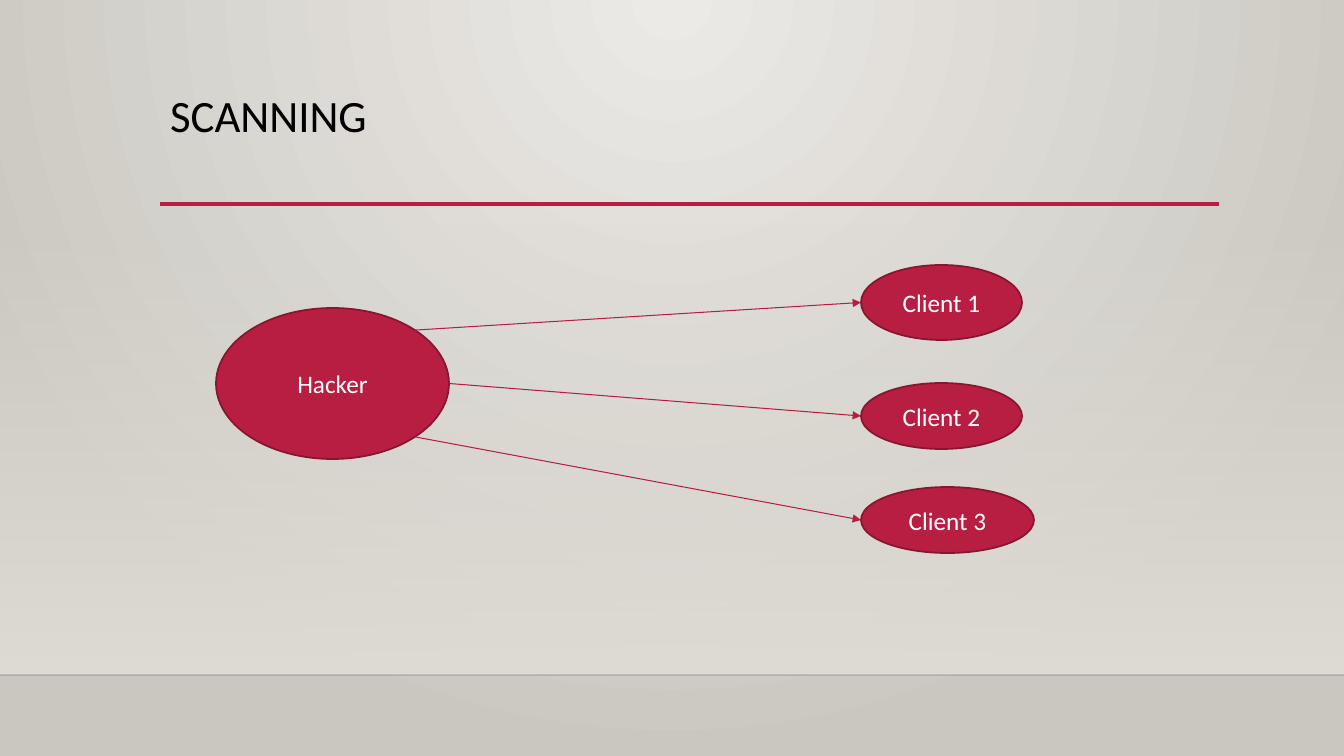
"""Build the slide that shows a hacker scanning three clients."""
import math

import pptx
import pptx.dml.color
import pptx.enum.shapes
import pptx.enum.text
import pptx.oxml
import pptx.oxml.ns
import pptx.util

TITLE = "SCANNING"
TITLE_BOX = (160, 89, 1059, 116)
HACKER = ("Hacker", (216, 308, 233, 151))
CLIENTS = [
    ("Client 1", (861, 265, 161, 75)),
    ("Client 2", (861, 383, 161, 66)),
    ("Client 3", (861, 487, 173, 66)),
]
SCAN_ANGLES = (-45, 0, 45)
WIDTH, HEIGHT, FLOOR = 1344, 756, 675
WALL_TOP = 223
RULE_Y = 204
RED, DARK_RED, BLACK, WHITE = "B71E42", "871631", "000000", "FFFFFF"
FONT = "Calibri"
NS = pptx.oxml.ns.nsdecls("a", "p")


def px(length):
    return pptx.util.Emu(round(length * 914400 / 100.8))


def rgb(color):
    return pptx.dml.color.RGBColor.from_string(color)


def write(shape, text, size=18, color=WHITE, align="CENTER", anchor="MIDDLE", spacing=1.0):
    frame = shape.text_frame
    frame.word_wrap = True
    frame.auto_size = pptx.enum.text.MSO_AUTO_SIZE.NONE
    frame.vertical_anchor = pptx.enum.text.MSO_ANCHOR[anchor]
    paragraph = frame.paragraphs[0]
    paragraph.alignment = pptx.enum.text.PP_ALIGN[align]
    paragraph.line_spacing = spacing
    run = paragraph.add_run()
    run.text = text
    run.font.name = FONT
    run.font.size = pptx.util.Pt(size)
    run.font.color.rgb = rgb(color)


def gradient(stops, direction):
    marks = "".join(
        f'<a:gs pos="{pos * 1000}"><a:srgbClr val="{color}">'
        f'<a:alpha val="{opacity * 1000}"/></a:srgbClr></a:gs>'
        for pos, color, opacity in stops
    )
    return f'<a:gradFill {NS} rotWithShape="1"><a:gsLst>{marks}</a:gsLst>{direction}</a:gradFill>'


def add_shape(kind, box):
    shape = slide.shapes.add_shape(
        pptx.enum.shapes.MSO_SHAPE[kind], *map(px, box))
    shape.shadow.inherit = False
    return shape


def add_node(label, box):
    node = add_shape("OVAL", box)
    node.fill.solid()
    node.fill.fore_color.rgb = rgb(RED)
    node.line.color.rgb = rgb(DARK_RED)
    node.line.width = pptx.util.Pt(1.25)
    write(node, label)


def add_line(start, end, color, width, arrow=False, opacity=100):
    line = slide.shapes.add_connector(
        pptx.enum.shapes.MSO_CONNECTOR.STRAIGHT, *map(px, start + end))
    line.line.color.rgb = rgb(color)
    line.line.width = pptx.util.Pt(width)
    properties = line.element.spPr
    properties.append(pptx.oxml.parse_xml(f"<a:effectLst {NS}/>"))
    outline = properties.find(pptx.oxml.ns.qn("a:ln"))
    if opacity < 100:
        outline.find(".//" + pptx.oxml.ns.qn("a:srgbClr")).append(
            pptx.oxml.parse_xml(f'<a:alpha {NS} val="{opacity * 1000}"/>'))
    if arrow:
        outline.append(pptx.oxml.parse_xml(f'<a:tailEnd {NS} type="triangle"/>'))


def edge_point(box, degrees):
    left, top, width, height = box
    angle = math.radians(degrees)
    return (left + width / 2 * (1 + math.cos(angle)),
            top + height / 2 * (1 + math.sin(angle)))


deck = pptx.Presentation()
deck.slide_width, deck.slide_height = px(WIDTH), px(HEIGHT)
slide = deck.slides.add_slide(deck.slide_layouts[5])

glow = gradient(
    [(0, "ECEAE7", 100), (100, "CAC7C1", 100)],
    '<a:path path="circle"><a:fillToRect l="43000" r="43000" b="100000"/></a:path>')
slide.element.cSld.insert(0, pptx.oxml.parse_xml(
    f"<p:bg {NS}><p:bgPr>{glow}<a:effectLst/></p:bgPr></p:bg>"))

wall = add_shape("RECTANGLE", (0, WALL_TOP, WIDTH, FLOOR - WALL_TOP))
wall.line.fill.background()
wall.element.spPr.find(pptx.oxml.ns.qn("a:prstGeom")).addnext(pptx.oxml.parse_xml(
    gradient([(0, "DFDBD5", 0), (100, "DFDBD5", 100)], '<a:lin ang="5400000" scaled="0"/>')))

add_line((0, FLOOR), (WIDTH, FLOOR), BLACK, 1, opacity=20)
title_left, _, title_width, _ = TITLE_BOX
add_line((title_left, RULE_Y), (title_left + title_width, RULE_Y), RED, 2.5)

title = slide.shapes.title
title.left, title.top, title.width, title.height = map(px, TITLE_BOX)
write(title, TITLE, size=32, color=BLACK, align="LEFT", anchor="TOP", spacing=0.9)

for label, box in [HACKER, *CLIENTS]:
    add_node(label, box)
for (_, client_box), angle in zip(CLIENTS, SCAN_ANGLES):
    add_line(edge_point(HACKER[1], angle), edge_point(client_box, 180), RED, 0.75, arrow=True)

deck.save("out.pptx")
